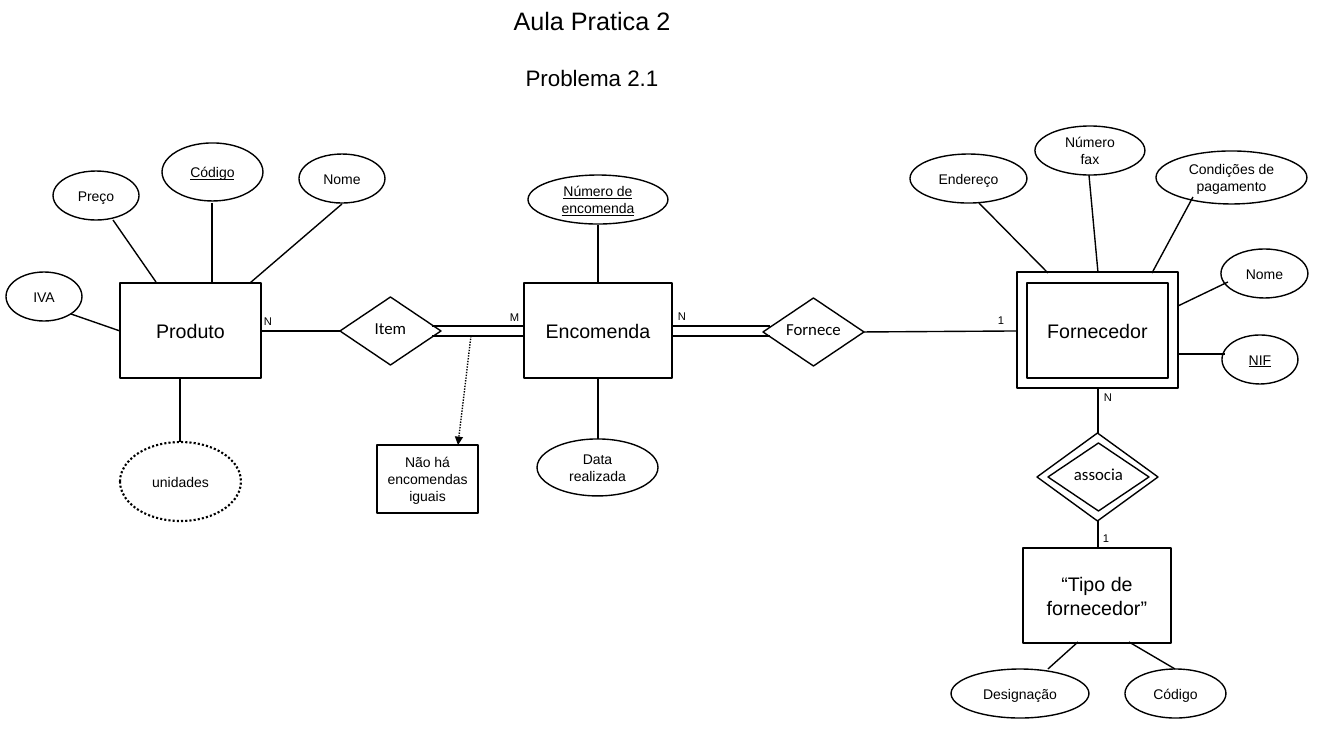
from lxml import etree
from pptx import Presentation
from pptx.dml.color import RGBColor
from pptx.enum.dml import MSO_LINE
from pptx.enum.shapes import MSO_CONNECTOR, MSO_SHAPE
from pptx.enum.text import MSO_ANCHOR, PP_ALIGN
from pptx.oxml.ns import qn
from pptx.util import Pt

BLACK = RGBColor(0, 0, 0)
WHITE = RGBColor(255, 255, 255)
RECT, OVAL = MSO_SHAPE.RECTANGLE, MSO_SHAPE.OVAL
RHOMB = MSO_SHAPE.FLOWCHART_DECISION
STRAIGHT = MSO_CONNECTOR.STRAIGHT
DOTS = MSO_LINE.ROUND_DOT
LEFT, CENTER = PP_ALIGN.LEFT, PP_ALIGN.CENTER
TOP, MIDDLE = MSO_ANCHOR.TOP, MSO_ANCHOR.MIDDLE
SCALE = 914400 / 100.8

# Content: text, left, top, width, height (pixels), from back to front
BOXES = [
    ("Produto", 120, 283, 141, 95),
    ("Encomenda", 524, 283, 148, 95),
    ("", 1017, 272, 161, 116),
    ("Fornecedor", 1027, 283, 141, 95),
    ("“Tipo de fornecedor”", 1023, 548, 148, 95),
]
NOTE = ("Não há encomendas iguais", 377, 445, 101, 68)
LINKS = [
    ("Fornece", 763, 298, 101, 68),
    ("Item", 340, 297, 101, 68),
    ("", 1037, 433, 121, 88),
    ("associa", 1048, 443, 101, 68),
]
FIELDS = [
    ("IVA", 6, 272, 76, 49),
    ("Preço", 53, 171, 86, 49),
    ("Nome", 299, 154, 86, 49),
    ("Data realizada", 537, 439, 121, 57),
    ("Designação", 951, 669, 138, 49),
    ("Código", 1125, 669, 101, 49),
    ("Condições de pagamento", 1156, 151, 151, 53),
    ("Número fax", 1035, 126, 110, 49),
    ("Endereço", 910, 154, 117, 49),
    ("Nome", 1221, 249, 87, 49),
]
KEYS = [
    ("Código", 162, 143, 101, 58),
    ("Número de encomenda", 528, 175, 140, 49),
    ("NIF", 1222, 335, 76, 49),
]
DERIVED = ("unidades", 120, 442, 121, 79)
COUNTS = [("N", 254, 309), ("M", 500, 305), ("N", 668, 304),
          ("1", 988, 308), ("N", 1094, 385), ("1", 1093, 526)]

# Lines: start x, start y, end x, end y
DOUBLES = [(524, 432), (770, 672)]
LINES = [
    (1017, 331, 864, 332), (340, 331, 261, 331),       # relations
    (1098, 433, 1098, 388), (1098, 521, 1098, 548),
    (1078, 642, 1048, 669), (1175, 669, 1129, 642),    # supplier type
    (1225, 354, 1178, 354), (1228, 282, 1178, 306),    # supplier
    (1193, 197, 1152, 273), (1089, 175, 1098, 272),
    (979, 203, 1048, 273),
    (598, 283, 598, 225), (598, 439, 598, 378),        # order
    (342, 204, 250, 283), (212, 203, 212, 283),        # product
    (156, 282, 113, 220), (120, 331, 71, 314), (180, 442, 180, 378),
]
POINTER = (471, 336, 458, 445)

deck = Presentation()
deck.slide_width, deck.slide_height = round(1344 * SCALE), round(756 * SCALE)
slide = deck.slides.add_slide(deck.slide_layouts[6])
shapes = slide.shapes


def px(*nums):
    return [round(n * SCALE) for n in nums]


def write(shape, text, size=10, font="Arial", align=CENTER, anchor=MIDDLE,
          wrap=True, under=None, gap=0):
    """Fill a shape with paragraphs; size is one number or one per line."""
    frame = shape.text_frame
    frame.word_wrap, frame.vertical_anchor = wrap, anchor
    rows = text.split("\n")
    sizes = size if isinstance(size, tuple) else (size,) * len(rows)
    for i, (row, pt) in enumerate(zip(rows, sizes)):
        para = frame.add_paragraph() if i else frame.paragraphs[0]
        para.alignment = align
        if i:
            para.space_before = Pt(gap)
        run = para.add_run()
        run.text = row
        run.font.size, run.font.name = Pt(pt), font
        run.font.color.rgb, run.font.underline = BLACK, under


def draw(kind, text, *place, width=1, dash=None, **form):
    shape = shapes.add_shape(kind, *px(*place))
    shape.shadow.inherit = False
    shape.fill.solid()
    shape.fill.fore_color.rgb = WHITE
    shape.line.color.rgb, shape.line.width = BLACK, Pt(width)
    if dash:
        shape.line.dash_style = dash
    if text:
        write(shape, text, **form)


def label(text, *place, **form):
    write(shapes.add_textbox(*px(*place)), text, anchor=TOP, **form)


def join(*ends):
    line = shapes.add_connector(STRAIGHT, *px(*ends))
    line.line.color.rgb, line.line.width = BLACK, Pt(1)
    etree.SubElement(line._element.spPr, qn("a:effectLst"))
    return line


# Entities, relations and attributes
for box in BOXES:
    draw(RECT, *box, size=14)
draw(RECT, *NOTE)
for name, x, y, w, h in LINKS:
    draw(RHOMB, "", x, y, w, h)
    if name:
        label(name, x + 9, y + 16, 83, 30, size=12, font="Calibri")
for field in FIELDS:
    draw(OVAL, *field)
for key in KEYS:
    draw(OVAL, *key, under=True)
draw(OVAL, *DERIVED, width=1.5, dash=DOTS)

# Lines, double lines and the dotted arrow
for start, end in DOUBLES:
    for y in (326, 336):
        join(start, y, end, y)
for ends in LINES:
    join(*ends)
arrow = join(*POINTER)
arrow.line.dash_style = DOTS
etree.SubElement(arrow.line._get_or_add_ln(), qn("a:tailEnd"), type="triangle")

# Counts and title
for mark, x, y in COUNTS:
    label(mark, x, y, 28, 24, size=8, align=LEFT, wrap=False)
label("Aula Pratica 2\nProblema 2.1", 414, 0, 356, 99, size=(18, 16), gap=21)

deck.save("out.pptx")
